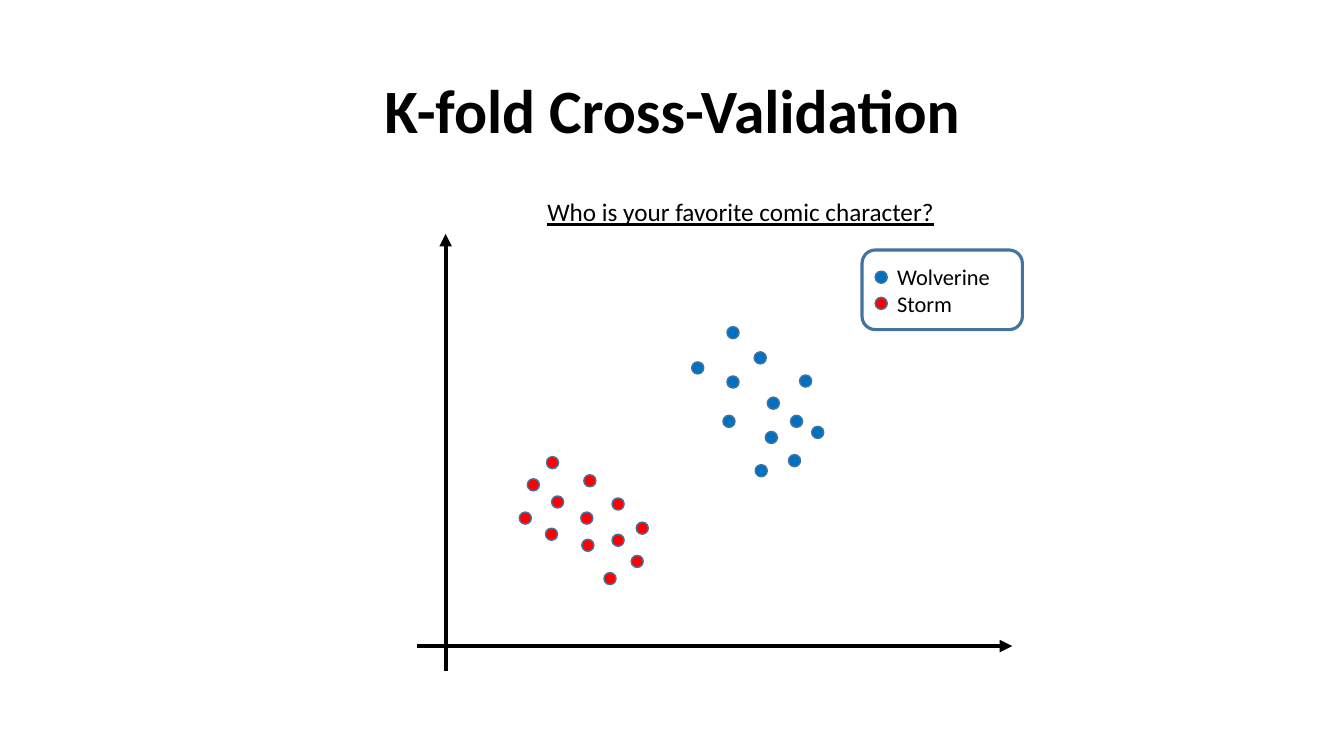
from dataclasses import dataclass

from lxml import etree
from pptx import Presentation
from pptx.dml.color import RGBColor
from pptx.enum.shapes import MSO_CONNECTOR, MSO_SHAPE
from pptx.enum.text import MSO_ANCHOR, PP_ALIGN
from pptx.oxml.ns import qn
from pptx.shapes.autoshape import Shape
from pptx.slide import Slide
from pptx.text.text import TextFrame
from pptx.util import Inches, Pt

OVAL, ROUND = MSO_SHAPE.OVAL, MSO_SHAPE.ROUNDED_RECTANGLE
LINE = MSO_CONNECTOR.STRAIGHT
MIDDLE, CENTER = MSO_ANCHOR.MIDDLE, PP_ALIGN.CENTER

HUES = {"black": "000000", "blue": "0070C0", "red": "FF0000", "edge": "43739E"}
DOT = 0.12  # diameter of every marker


@dataclass
class Group:
    name: str
    hue: str
    key: float  # top of its marker in the legend
    dots: list[tuple[float, float]]


@dataclass
class Axis:
    start: tuple[float, float]
    end: tuple[float, float]


GROUPS = [
    Group("Wolverine", "blue", 2.69, [
        (7.48, 3.49), (7.17, 4.12), (6.86, 3.59), (7.61, 3.94),
        (7.49, 4.61), (7.93, 3.72), (7.59, 4.28), (8.05, 4.23),
        (7.82, 4.51), (7.84, 4.12), (7.21, 3.73), (7.21, 3.24)]),
    Group("Storm", "red", 2.95, [
        (6.07, 5.3), (5.76, 5.08), (5.77, 5.35), (6.07, 4.94),
        (5.79, 4.71), (5.47, 4.92), (5.41, 5.24), (5.42, 4.53),
        (5.23, 4.75), (5.15, 5.08), (6.31, 5.18), (6.26, 5.51),
        (5.99, 5.68)]),
]
AXES = [Axis((4.42, 6.66), (4.42, 2.32)), Axis((4.14, 6.41), (10.04, 6.41))]


def color(hue: str) -> RGBColor:
    return RGBColor.from_string(HUES[hue])


def write(frame: TextFrame, lines: list[str], **style: object) -> None:
    """Fill a text frame and set the same font values on each line."""
    frame.word_wrap = True
    frame.text = "\n".join(lines)
    for para in frame.paragraphs:
        font = para.runs[0].font
        font.color.rgb = color("black")
        for key, value in {"name": "Calibri", **style}.items():
            setattr(font, key, value)


def add_text(slide: Slide, box: tuple[float, ...], lines: list[str],
             **style: object) -> None:
    text = slide.shapes.add_textbox(*map(Inches, box))
    write(text.text_frame, lines, **style)


def add_form(slide: Slide, kind: MSO_SHAPE, box: tuple[float, ...],
             width: float) -> Shape:
    form = slide.shapes.add_shape(kind, *map(Inches, box))
    form.shadow.inherit = False
    form.fill.background()
    form.line.color.rgb = color("edge")
    form.line.width = Pt(width)
    return form


def add_dot(slide: Slide, left: float, top: float, hue: str) -> None:
    dot = add_form(slide, OVAL, (left, top, DOT, DOT), 1)
    dot.fill.solid()
    dot.fill.fore_color.rgb = color(hue)


def add_axis(slide: Slide, axis: Axis) -> None:
    line = slide.shapes.add_connector(
        LINE, *map(Inches, axis.start + axis.end))
    line.line.color.rgb = color("black")
    line.line.width = Pt(3)
    props = line.line._get_or_add_ln()
    etree.SubElement(props, qn("a:tailEnd"), type="triangle")
    etree.SubElement(line._element.spPr, qn("a:effectLst"))


def main() -> None:
    deck = Presentation()
    deck.slide_width, deck.slide_height = Inches(13.33), Inches(7.5)
    slide = deck.slides.add_slide(deck.slide_layouts[5])

    # Title
    title = slide.shapes.title
    place = {"left": 0.92, "top": 0.4, "width": 11.5, "height": 1.45}
    for key, value in place.items():
        setattr(title, key, Inches(value))
    write(title.text_frame, ["K-fold Cross-Validation"],
          size=Pt(44), bold=True)
    title.text_frame.vertical_anchor = MIDDLE
    head = title.text_frame.paragraphs[0]
    head.alignment, head.line_spacing = CENTER, 0.9

    # Scatter plot
    for axis in AXES:
        add_axis(slide, axis)
    for group in GROUPS:
        for left, top in group.dots:
            add_dot(slide, left, top, group.hue)
    add_text(slide, (5.33, 1.9, 4.13, 0.4),
             ["Who is your favorite comic character?"],
             size=Pt(18), underline=True)

    # Legend
    add_form(slide, ROUND, (8.55, 2.48, 1.59, 0.79), 2.25)
    for group in GROUPS:
        add_dot(slide, 8.68, group.key, group.hue)
    add_text(slide, (8.8, 2.56, 1.35, 0.64),
             [group.name for group in GROUPS], size=Pt(16))

    deck.save("out.pptx")


if __name__ == "__main__":
    main()
